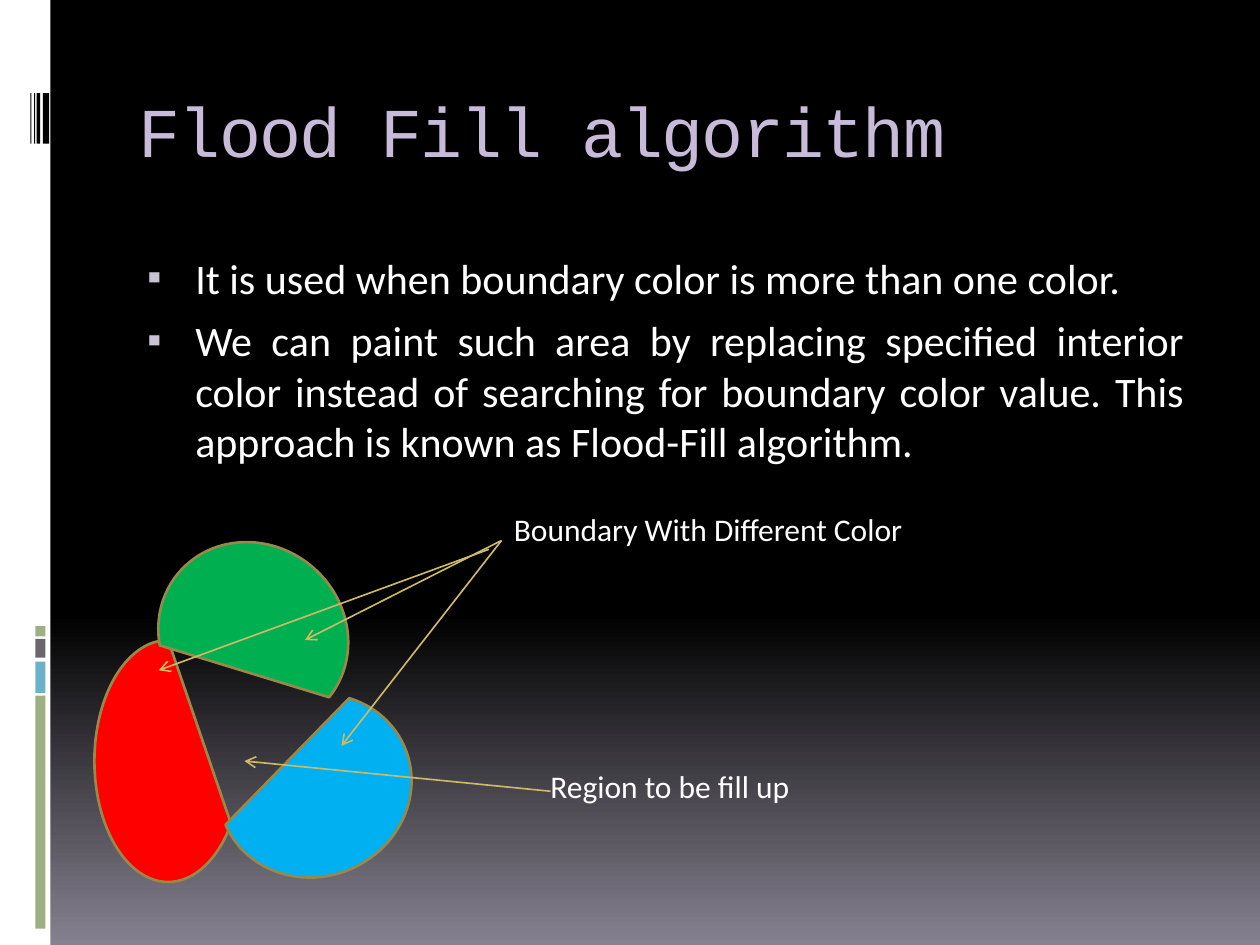
from copy import deepcopy
from dataclasses import dataclass

from lxml.etree import SubElement
from pptx import Presentation
from pptx.dml.color import RGBColor
from pptx.enum.shapes import MSO_CONNECTOR, MSO_SHAPE
from pptx.enum.text import MSO_ANCHOR, PP_ALIGN
from pptx.oxml.ns import qn
from pptx.util import Pt

PX = 9144  # 100 px to the inch


@dataclass(frozen=True)
class Theme:
    black: str = "000000"
    white: str = "FFFFFF"
    haze: str = "868190"
    sage: str = "9CB084"
    sky: str = "6BB1C9"
    slate: str = "69676D"
    title: str = "C8BAD9"
    bullet: str = "C9C2D1"
    red: str = "FF0000"
    green: str = "00B050"
    blue: str = "00B0F0"
    edge: str = "98894B"
    arrow: str = "CEB966"
    head: str = "Courier New"
    text: str = "Calibri"
    head_size: int = 40
    body_size: int = 24
    label_size: int = 18


THEME = Theme()


def rgb(code):
    return RGBColor.from_string(code)


def place(shape, box):
    shape.left, shape.top, shape.width, shape.height = (n * PX for n in box)


def style(par, face, size, color):
    for run in par.runs:
        run.font.name = face
        run.font.size = Pt(size)
        run.font.color.rgb = rgb(color)


def add_form(shapes, kind, box, color, edge=None):
    form = shapes.add_shape(kind, *(n * PX for n in box))
    form.shadow.inherit = False
    form.fill.solid()
    form.fill.fore_color.rgb = rgb(color)
    if edge:
        form.line.color.rgb = rgb(edge)
        form.line.width = Pt(1.5)
    else:
        form.line.fill.background()
    return form


def add_arrow(shapes, start, end):
    line = shapes.add_connector(MSO_CONNECTOR.STRAIGHT, *(n * PX for n in start + end))
    line.line.color.rgb = rgb(THEME.arrow)
    line.line.width = Pt(0.94)
    SubElement(line.line._get_or_add_ln(), qn("a:tailEnd"), type="arrow")
    SubElement(line.element.spPr, qn("a:effectLst"))


def add_label(shapes, box, text):
    label = shapes.add_textbox(*(n * PX for n in box))
    label.text_frame.word_wrap = True
    label.text_frame.text = text
    style(label.text_frame.paragraphs[0], THEME.text, THEME.label_size, THEME.white)


def set_back(slide):
    """Black down to 65 %, then fading to grey at the foot."""
    fill = slide.background.fill
    fill.gradient()
    fill.gradient_angle = 270
    stops = slide.element.find(".//" + qn("a:gsLst"))
    stops.insert(1, deepcopy(stops[0]))
    colors = (THEME.black, THEME.black, THEME.haze)
    for stop, spot, color in zip(fill.gradient_stops, (0, 0.65, 1), colors):
        stop.position = spot
        stop.color.rgb = rgb(color)


def draw_side(slide, box):
    """White strip with a bar code and a stack of coloured bars."""
    left, top, _, _ = box
    add_form(slide.shapes, MSO_SHAPE.RECTANGLE, box, THEME.white)
    stack = ((552, 185, THEME.sage), (525, 25, THEME.sky),
             (507, 15, THEME.slate), (497, 8, THEME.sage))
    bars = [(28, y, 8, high, color) for y, high, color in stack]
    code = ((34, 5), (29, 3), (27, 1), (24, 1))
    bars += [(x, 74, wide, 40, THEME.black) for x, wide in code]
    for x, y, wide, high, color in bars:
        add_form(slide.shapes, MSO_SHAPE.RECTANGLE,
                 (left + x, top + y, wide, high), color)


def set_title(slide, box, text):
    title = slide.shapes.title
    place(title, box)
    frame = title.text_frame
    frame.vertical_anchor = MSO_ANCHOR.MIDDLE
    frame.margin_bottom = 12 * PX
    frame.text = text
    par = frame.paragraphs[0]
    par.alignment = PP_ALIGN.LEFT
    style(par, THEME.head, THEME.head_size, THEME.title)
    for run in par.runs:
        run.font._element.set("spc", "-100")


def add_bullet(par):
    props = par._p.get_or_add_pPr()
    props.set("marL", str(45 * PX))
    props.set("indent", str(-38 * PX))
    color = SubElement(props, qn("a:buClr"))
    SubElement(color, qn("a:srgbClr"), val=THEME.bullet)
    SubElement(props, qn("a:buSzPct"), val="95000")
    SubElement(props, qn("a:buFont"), typeface=THEME.text)
    SubElement(props, qn("a:buChar"), char="▪")


def set_body(slide, box, items):
    body = slide.placeholders[1]
    place(body, box)
    frame = body.text_frame
    frame.text = "\n".join(items)
    for num, par in enumerate(frame.paragraphs):
        add_bullet(par)
        par.alignment = PP_ALIGN.JUSTIFY
        par.space_before = Pt(7 if num else 0)
        style(par, THEME.text, THEME.body_size, THEME.white)


def draw_fill(slide, box):
    """Three chords around an open region, with labels and arrows."""
    left, top, wide, _ = box
    shapes = slide.shapes.add_group_shape().shapes

    def at(x, y):
        return left + x, top + y

    chords = ((at(0, 108) + (117, 192), 0, THEME.red),
              (at(54, 27) + (144, 155), 129.1, THEME.green),
              (at(103, 146) + (144, 155), 246.4, THEME.blue))
    for area, turn, color in chords:
        chord = add_form(shapes, MSO_SHAPE.CHORD, area, color, THEME.edge)
        chord.rotation = turn

    fork = at(323, 29)
    arrows = ((at(313, 36), at(51, 132)), (fork, at(167, 108)),
              (fork, at(196, 192)), (at(362, 228), at(119, 204)))
    for start, end in arrows:
        add_arrow(shapes, start, end)

    labels = ((323, 0, "Boundary With Different Color"),
              (352, 204, "Region to be fill up"))
    for x, y, text in labels:
        add_label(shapes, at(x, y) + (456, 58), text)


def main():
    deck = Presentation()
    deck.slide_width, deck.slide_height = 1000 * PX, 750 * PX
    slide = deck.slides.add_slide(deck.slide_layouts[1])
    set_back(slide)
    draw_side(slide, (0, 0, 40, 750))
    set_title(slide, (100, 56, 850, 100), "Flood Fill algorithm")
    set_body(slide, (100, 195, 850, 500), (
        "It is used when boundary color is more than one color.",
        "We can paint such area by replacing specified interior color instead of "
        "searching for boundary color value. This approach is known as "
        "Flood-Fill algorithm."))
    draw_fill(slide, (75, 400, 808, 301))
    deck.save("out.pptx")


if __name__ == "__main__":
    main()
